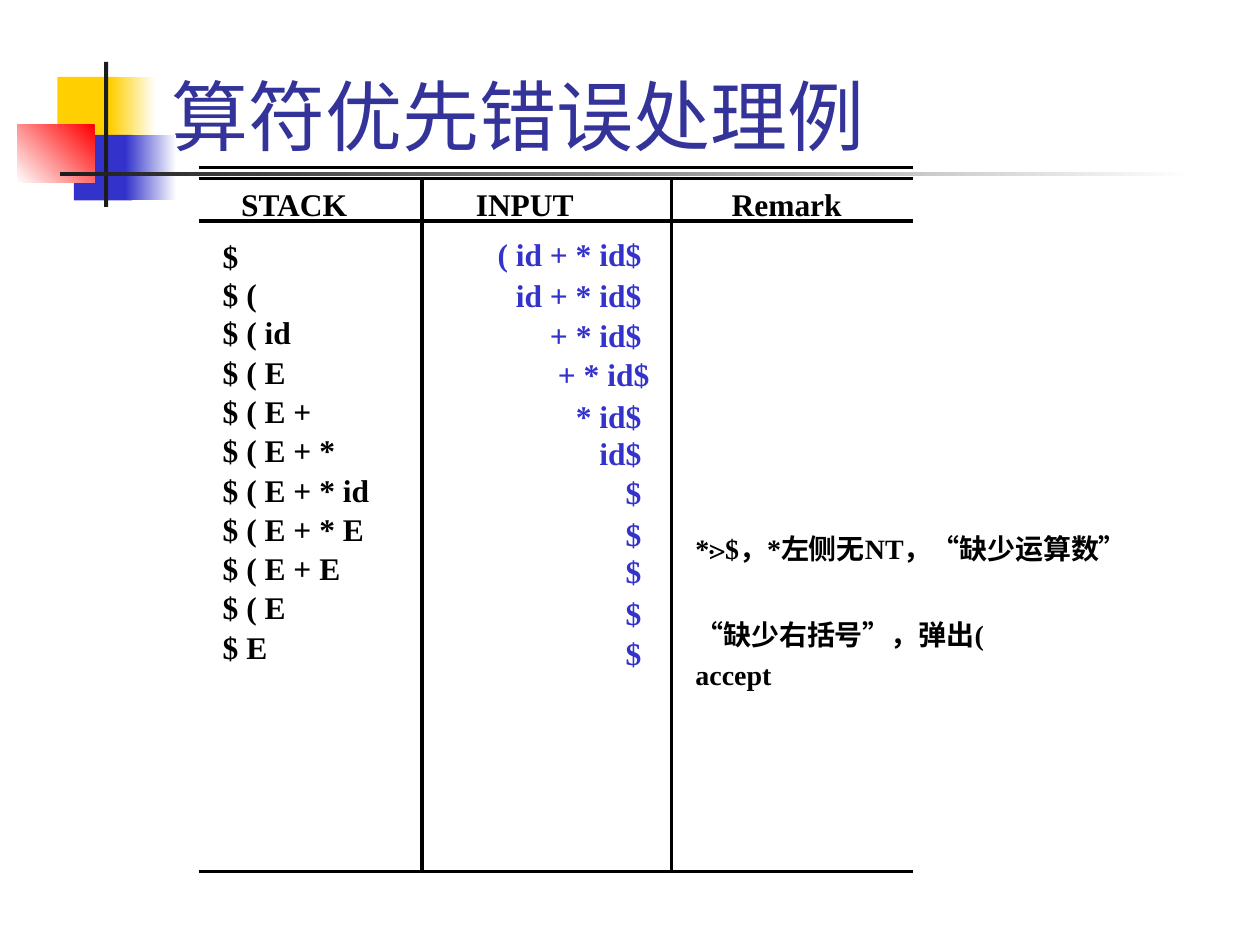
from lxml import etree
from pptx import Presentation
from pptx.dml.color import RGBColor
from pptx.enum.shapes import MSO_CONNECTOR, MSO_SHAPE
from pptx.enum.text import MSO_ANCHOR, MSO_AUTO_SIZE, PP_ALIGN
from pptx.oxml.ns import qn
from pptx.util import Cm, Pt

LEFT, CENTER, RIGHT = PP_ALIGN.LEFT, PP_ALIGN.CENTER, PP_ALIGN.RIGHT
BOTTOM = MSO_ANCHOR.BOTTOM
NO_FIT = MSO_AUTO_SIZE.NONE
RECTANGLE = MSO_SHAPE.RECTANGLE
STRAIGHT = MSO_CONNECTOR.STRAIGHT

FONT = "Times New Roman"
BLACK, WHITE, CHARCOAL = "000000", "FFFFFF", "1C1C1C"
YELLOW, BLUE, RED, NAVY = "FFCF01", "3333CC", "FF0000", "333399"

STACK_ROWS = [
    ("$", 1), ("$ (", 0.5), ("$ ( id", 0.6), ("$ ( E", 0.6),
    ("$ ( E +", 0.6), ("$ ( E + *", 0.6), ("$ ( E + * id", 0.6),
    ("$ ( E + * E", 0.6), ("$ ( E + E", 0.6), ("$ ( E", 0.6), ("$ E", 0.6),
]
INPUT_ROWS = [
    ("( id + * id$ ", 1), ("id + * id$ ", 0.6), ("+ * id$ ", 0.6),
    ("+ * id$", 0.6), ("* id$ ", 0.7), ("id$ ", 0.5), ("$ ", 0.6),
    ("$ ", 0.7), ("$ ", 0.5), ("$ ", 0.7), ("$ ", 0.6),
]
REMARKS = [
    (6.99, [("*", True), ("⋗", False), ("$，*左侧无NT，“缺少运算数”", True)]),
    (8.72, [("“缺少右括号”，弹出(", True)]),
    (9.53, [("accept", True)]),
]


def color(value):
    return RGBColor.from_string(value)


def style(font, size, value, bold=None):
    font.name = FONT
    font.size = Pt(size)
    font.bold = bold
    font.color.rgb = color(value)


def add_block(page, x, y, width, height, start, end=None, angle=0):
    block = page.shapes.add_shape(RECTANGLE, Cm(x), Cm(y), Cm(width), Cm(height))
    block.shadow.inherit = False
    block.line.fill.background()
    if end is None:
        block.fill.solid()
        block.fill.fore_color.rgb = color(start)
        return
    block.fill.gradient()
    block.fill.gradient_angle = angle
    for stop, value in zip(block.fill.gradient_stops, (start, end)):
        stop.color.rgb = color(value)


def add_rule(page, x1, y1, x2, y2):
    rule = page.shapes.add_connector(STRAIGHT, Cm(x1), Cm(y1), Cm(x2), Cm(y2))
    rule.line.color.rgb = color(BLACK)
    rule.line.width = Pt(2)
    etree.SubElement(rule._element.spPr, qn("a:effectLst"))


def add_frame(page, x, y, width, height):
    box = page.shapes.add_textbox(Cm(x), Cm(y), Cm(width), Cm(height))
    box.text_frame.word_wrap = True
    return box.text_frame


def add_lines(page, x, y, width, height, rows, align=LEFT, value=BLACK):
    frame = add_frame(page, x, y, width, height)
    for index, (text, spacing) in enumerate(rows):
        para = frame.add_paragraph() if index else frame.paragraphs[0]
        para.text = text
        para.alignment = align
        para.line_spacing = spacing
        if index:
            para.space_before = Pt(9.5)
        style(para.font, 18, value, True)


def add_remark(page, x, y, width, height, pieces):
    para = add_frame(page, x, y, width, height).paragraphs[0]
    style(para.font, 16, BLACK)
    for text, bold in pieces:
        span = para.add_run()
        span.text = text
        style(span.font, 16, BLACK, bold)


def add_ornament(page, x, y):
    add_block(page, x + 0.81, y + 0.3, 1.22, 1.32, YELLOW)
    add_block(page, x + 1.88, y + 0.3, 0.91, 1.32, YELLOW, WHITE)
    add_block(page, x + 1.14, y + 1.47, 1.17, 1.32, BLUE)
    add_block(page, x + 2.18, y + 1.47, 1.02, 1.32, BLUE, WHITE)
    add_block(page, x, y + 1.27, 1.55, 1.17, WHITE, RED, 45)
    add_block(page, x + 1.75, y, 0.08, 2.92, CHARCOAL)
    add_block(page, x + 0.86, y + 2.21, 22.86, 0.08, CHARCOAL, WHITE)


def add_title(page, x, y, width, height):
    title = page.shapes.title
    title.left, title.top = Cm(x), Cm(y)
    title.width, title.height = Cm(width), Cm(height)
    frame = title.text_frame
    frame.auto_size = NO_FIT
    frame.vertical_anchor = BOTTOM
    para = frame.paragraphs[0]
    para.text = "算符优先错误处理例"
    para.alignment = LEFT
    style(para.font, 44, NAVY)


def add_trace(page, x, y, width, height):
    for offset in (-0.22, 0, 0.85, height):
        add_rule(page, x, y + offset, x + width, y + offset)
    for offset in (4.5, 9.53):
        add_rule(page, x + offset, y, x + offset, y + height)
    for offset, heading in ((0.23, "STACK"), (4.88, "INPUT"), (10.16, "Remark")):
        add_lines(page, x + offset, y, 3.38, 1.02, [(heading, 1)], CENTER)
    add_lines(page, x + 0.23, y + 1.05, 3.86, 10.29, STACK_ROWS)
    add_lines(page, x + 4.25, y + 1.02, 5.08, 10.52, INPUT_ROWS, RIGHT, BLUE)
    for offset, pieces in REMARKS:
        add_remark(page, x + 9.76, y + offset, 10.54, 0.94, pieces)


def main():
    deck = Presentation()
    deck.slide_width, deck.slide_height = Cm(25.4), Cm(19.05)
    page = deck.slides.add_slide(deck.slide_layouts[5])
    add_ornament(page, 0.35, 1.25)
    add_title(page, 3.2, 0.2, 21.64, 3.18)
    add_trace(page, 4.01, 3.6, 14.4, 13.97)
    deck.save("out.pptx")


if __name__ == "__main__":
    main()
